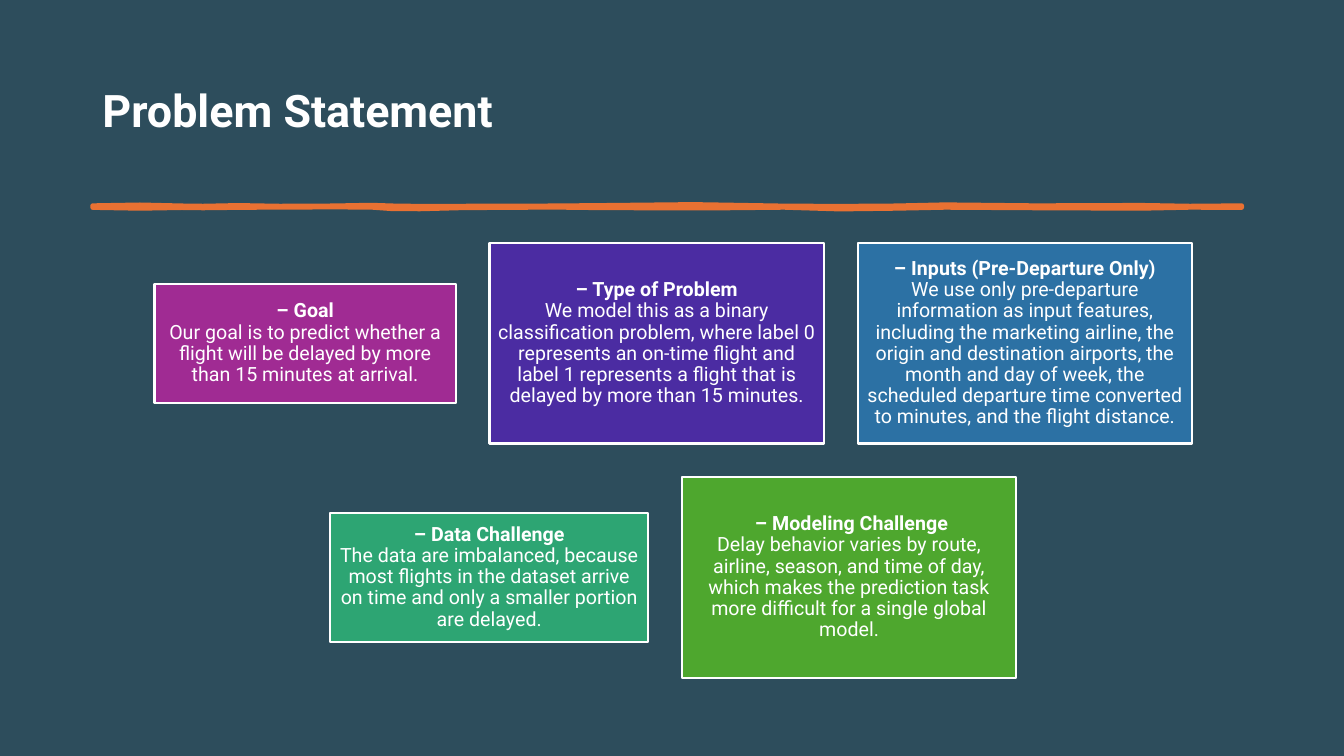
"""Build the Problem Statement slide with five coloured statement cards."""
from pptx import Presentation
from pptx.dml.color import RGBColor
from pptx.enum.shapes import MSO_SHAPE
from pptx.enum.text import MSO_ANCHOR, PP_ALIGN
from pptx.util import Pt

COLORS = {
    "background": "2D4D5C",
    "white": "FFFFFF",
    "rule": "E97132",
    "goal": "A02B93",
    "type": "4B2CA2",
    "inputs": "2C71A4",
    "data": "2DA573",
    "modeling": "4EA72E",
}


def write(frame, heading, body="", size=14, align=PP_ALIGN.CENTER, inset=4.4):
    frame.word_wrap = True
    frame.vertical_anchor = MSO_ANCHOR.MIDDLE
    frame.margin_top = frame.margin_bottom = Pt(min(inset, 4.4))
    frame.margin_left = frame.margin_right = Pt(inset)
    paragraph = frame.paragraphs[0]
    paragraph.alignment = align
    paragraph.line_spacing = 0.9
    for text, bold in ((heading, True), (body, False)):
        if not text:
            continue
        if not bold:
            paragraph.add_line_break()
        run = paragraph.add_run()
        run.text = text
        run.font.name = "Roboto"
        run.font.size = Pt(size)
        run.font.bold = bold
        run.font.color.rgb = RGBColor.from_string(COLORS["white"])


def paint(shape, fill, line, width):
    shape.shadow.inherit = False
    shape.fill.solid()
    shape.fill.fore_color.rgb = RGBColor.from_string(COLORS[fill])
    shape.line.color.rgb = RGBColor.from_string(COLORS[line])
    shape.line.width = Pt(width)


presentation = Presentation()
presentation.slide_width = Pt(960)
presentation.slide_height = Pt(540)
slide = presentation.slides.add_slide(presentation.slide_layouts[5])
slide.background.fill.solid()
slide.background.fill.fore_color.rgb = RGBColor.from_string(COLORS["background"])

heading = slide.shapes.title
heading.left, heading.top, heading.width, heading.height = Pt(66), Pt(28.8), Pt(828), Pt(104.4)
write(heading.text_frame, "Problem Statement", size=32, align=PP_ALIGN.LEFT, inset=7.2)

RULE_Y = 147.6
brush_profile = [
    (66.2, 0.7, 0.7), (100, 1.3, 1.3), (130, 0.6, 0.8), (145, 0.4, 1), (170, 0.9, 0.7),
    (200, 0.4, 0.5), (238, 0.6, 0.4), (265, 1.1, 0.5), (280, 0.6, 1.6), (300, 0.3, 1.7),
    (330, 0.4, 0.9), (395, 0.6, 0.5), (430, 0.9, 0.9), (495, 1.6, 1.1), (520, 1.2, 1),
    (560, 0.5, 0.6), (600, 0.3, 1.8), (640, 0.6, 1.3), (675, 1.4, 0.6), (740, 0.7, 1),
    (815, 1, 1.3), (850, 0.4, 0.6), (887, 0.7, 0.7),
]
upper_edge = [(Pt(x), Pt(RULE_Y - rise)) for x, rise, drop in brush_profile]
lower_edge = [(Pt(x), Pt(RULE_Y + drop)) for x, rise, drop in reversed(brush_profile)]
brush = slide.shapes.build_freeform(*upper_edge[0])
brush.add_line_segments(upper_edge[1:] + lower_edge, close=True)
paint(brush.convert_to_shape(), "rule", "rule", 3.25)

CENTER_X = 481
GAP = 24
card_rows = [
    (245.2, [
        ("goal", 215.3, 85, "– Goal",
         "Our goal is to predict whether a flight will be delayed by more than 15 minutes "
         "at arrival."),
        ("type", 239, 143.3, "– Type of Problem",
         "We model this as a binary classification problem, where label 0 represents an "
         "on-time flight and label 1 represents a flight that is delayed by more than "
         "15 minutes."),
        ("inputs", 239, 143.3, "– Inputs (Pre-Departure Only)",
         "We use only pre-departure information as input features, including the marketing "
         "airline, the origin and destination airports, the month and day of week, the "
         "scheduled departure time converted to minutes, and the flight distance."),
    ]),
    (412.4, [
        ("data", 227, 92.2, "– Data Challenge",
         "The data are imbalanced, because most flights in the dataset arrive on time and "
         "only a smaller portion are delayed."),
        ("modeling", 239, 143.3, " – Modeling Challenge",
         "Delay behavior varies by route, airline, season, and time of day, which makes the "
         "prediction task more difficult for a single global model."),
    ]),
]
for middle, statements in card_rows:
    row_width = sum(statement[1] for statement in statements) + GAP * (len(statements) - 1)
    left = CENTER_X - row_width / 2
    for topic, width, height, label, explanation in statements:
        card = slide.shapes.add_shape(
            MSO_SHAPE.RECTANGLE, Pt(left), Pt(middle - height / 2), Pt(width), Pt(height))
        paint(card, topic, "white", 1.5)
        write(card.text_frame, label, explanation)
        left += width + GAP

presentation.save("out.pptx")
